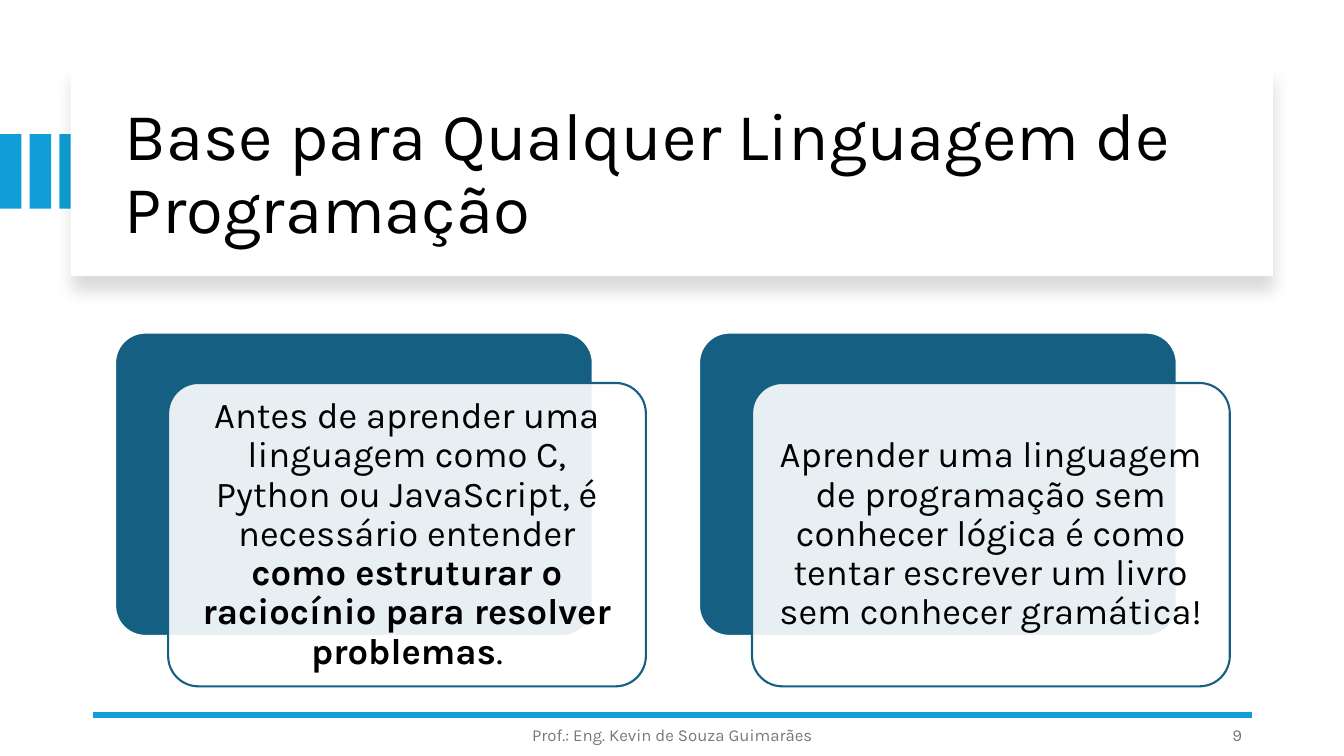
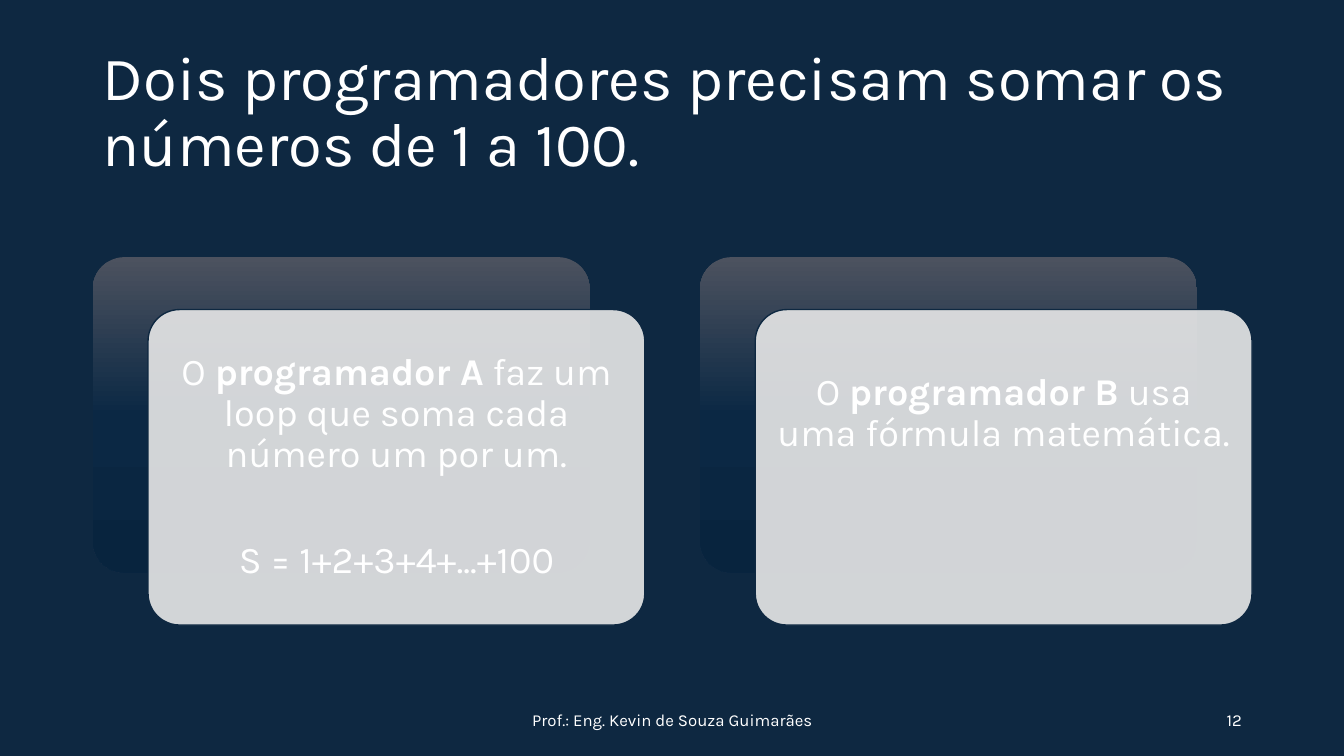
from lxml.etree import SubElement
from pptx import Presentation
from pptx.dml.color import RGBColor
from pptx.enum.shapes import MSO_CONNECTOR, MSO_SHAPE
from pptx.enum.text import MSO_ANCHOR, PP_ALIGN
from pptx.oxml import parse_xml
from pptx.oxml.ns import nsdecls, qn
from pptx.util import Cm, Pt

COLORS = {
    "white": "FFFFFF", "black": "000000", "gray": "797979", "light": "E8E8E8",
    "accent": "0F9ED5", "teal": "156082", "navy": "0E2841",
}
FADE = [(0, "4C525F"), (50, "0B2844"), (100, "08243E")]
FONT = "Karla"
FOOTER = "Prof.: Eng. Kevin de Souza Guimarães"


class Deck:
    """Shared style and the slide being drawn."""

    def __init__(self):
        self.presentation = Presentation()
        self.presentation.slide_width = Cm(33.87)
        self.presentation.slide_height = Cm(19.05)
        self.slide = None

    def color(self, name):
        return RGBColor.from_string(COLORS[name])

    def new_slide(self, background):
        self.slide = self.presentation.slides.add_slide(self.presentation.slide_layouts[6])
        fill = self.slide.background.fill
        fill.solid()
        fill.fore_color.rgb = self.color(background)

    def style(self, paragraph, size, color):
        paragraph.line_spacing = 0.9
        for run in paragraph.runs:
            run.font.name = FONT
            run.font.size = Pt(size)
            run.font.color.rgb = self.color(color)

    def shape(self, kind, left, top, width, height, fill=None, line=None, weight=1.5):
        shape = self.slide.shapes.add_shape(kind, Cm(left), Cm(top), Cm(width), Cm(height))
        shape.shadow.inherit = False
        if fill:
            shape.fill.solid()
            shape.fill.fore_color.rgb = self.color(fill)
        if line:
            shape.line.color.rgb = self.color(line)
            shape.line.width = Pt(weight)
        else:
            shape.line.fill.background()
        return shape

    def text(self, text, left, top, width, height, size, color, align=PP_ALIGN.LEFT):
        box = self.slide.shapes.add_textbox(Cm(left), Cm(top), Cm(width), Cm(height))
        frame = box.text_frame
        frame.word_wrap = True
        frame.vertical_anchor = MSO_ANCHOR.MIDDLE
        frame.text = text
        frame.paragraphs[0].alignment = align
        self.style(frame.paragraphs[0], size, color)

    def footer(self, number, top, color):
        self.text(FOOTER, 11.23, top, 11.43, 1.02, 12, color, PP_ALIGN.CENTER)
        self.text(number, 23.93, top, 7.62, 1.02, 12, color, PP_ALIGN.RIGHT)

    def rule(self, left, right, top, color, weight):
        line = self.slide.shapes.add_connector(
            MSO_CONNECTOR.STRAIGHT, Cm(left), Cm(top), Cm(right), Cm(top))
        line.line.color.rgb = self.color(color)
        line.line.width = Pt(weight)
        SubElement(line._element.spPr, qn("a:effectLst"))

    def banner(self, left, top, width, height):
        banner = self.shape(MSO_SHAPE.RECTANGLE, left, top, width, height, "white")
        effects = banner._element.spPr.find(qn("a:effectLst"))
        effects.append(parse_xml(
            f'<a:outerShdw {nsdecls("a")} blurRad="{Pt(11)}" dist="{Pt(10)}" dir="5400000" '
            f'algn="t" rotWithShape="0"><a:srgbClr val="{COLORS["black"]}">'
            '<a:alpha val="15000"/></a:srgbClr></a:outerShdw>'))

    def fade(self, shape):
        shape.fill.background()
        stops = "".join(f'<a:gs pos="{position * 1000}"><a:srgbClr val="{value}"/></a:gs>'
                        for position, value in FADE)
        properties = shape._element.spPr
        properties.replace(properties.find(qn("a:noFill")), parse_xml(
            f'<a:gradFill {nsdecls("a")} rotWithShape="1"><a:gsLst>{stops}</a:gsLst>'
            '<a:lin ang="5400000" scaled="0"/></a:gradFill>'))

    def card(self, left, top, width, paragraphs, size, color, back, front, line, weight,
             bottom=0.28, gap=0):
        """Two overlapping rounded panels; without a back colour the rear one fades."""
        height = width * 0.635
        rear = self.shape(MSO_SHAPE.ROUNDED_RECTANGLE, left, top, width, height, back,
                          "white" if back else None)
        if not back:
            self.fade(rear)
        panel = self.shape(MSO_SHAPE.ROUNDED_RECTANGLE, left + width / 9, top + width * 0.1055,
                           width, height, front, line, weight)
        for shape in (rear, panel):
            shape.adjustments[0] = 0.1
        fill_color = panel._element.spPr.find(qn("a:solidFill"))[0]
        SubElement(fill_color, qn("a:alpha"), val="90000")

        frame = panel.text_frame
        frame.word_wrap = True
        frame.vertical_anchor = MSO_ANCHOR.MIDDLE
        frame.margin_left = frame.margin_right = frame.margin_top = Cm(0.28)
        frame.margin_bottom = Cm(bottom)
        for index, parts in enumerate(paragraphs):
            paragraph = frame.add_paragraph() if index else frame.paragraphs[0]
            paragraph.alignment = PP_ALIGN.CENTER
            if index:
                paragraph.space_before = Pt(gap)
            for text, bold in parts:
                run = paragraph.add_run()
                run.text = text
                run.font.bold = bold
            self.style(paragraph, size, color)

    def card_pair(self, left, top, width, cards, **look):
        for index, (paragraphs, extra) in enumerate(cards):
            self.card(left + index * width * 11 / 9, top, width, paragraphs, **look, **extra)


def build_language_slide(deck):
    deck.new_slide("white")
    # Title banner with side bars
    for index in range(3):
        deck.shape(MSO_SHAPE.RECTANGLE, index * 0.75, 3.38, 0.54, 1.88, "accent")
    deck.banner(1.78, 1.7, 30.3, 5.26)
    deck.text("Base para Qualquer Linguagem de Programação", 2.9, 2.26, 28.27, 4.32, 48, "black")
    # Footer
    deck.rule(2.34, 31.55, 18.01, "accent", 4.5)
    deck.footer("9", 18.03, "gray")
    # Cards
    before = [[
        ("Antes de aprender uma linguagem como C, Python ou JavaScript, é necessário entender ",
         False),
        ("como estruturar o raciocínio para resolver problemas", True),
        (".", False),
    ]]
    grammar = [[("Aprender uma linguagem de programação sem conhecer lógica é como tentar "
                 "escrever um livro sem conhecer gramática!", False)]]
    deck.card_pair(2.9, 8.38, 12.04, [(before, {}), (grammar, {})], size=26, color="black",
                   back="teal", front="white", line="teal", weight=1.5)


def build_sum_slide(deck):
    deck.new_slide("navy")
    # Title and footer
    deck.text("Dois programadores precisam somar os números de 1 a 100.",
              2.34, 1.02, 29.21, 3.68, 44, "white")
    deck.footer("12", 17.65, "white")
    # Cards
    loop = [
        [("O ", False), ("programador A", True),
         (" faz um loop que soma cada número um por um.", False)],
        [("S = 1+2+3+4+...+100", False)],
    ]
    formula = [[("O ", False), ("programador B", True), (" usa uma fórmula matemática.", False)]]
    deck.card_pair(2.34, 6.48, 12.52, [(loop, {"gap": 47}), (formula, {"bottom": 3})],
                   size=27, color="white", back=None, front="light", line="navy", weight=1)


def main():
    deck = Deck()
    build_language_slide(deck)
    build_sum_slide(deck)
    deck.presentation.save("out.pptx")


if __name__ == "__main__":
    main()
